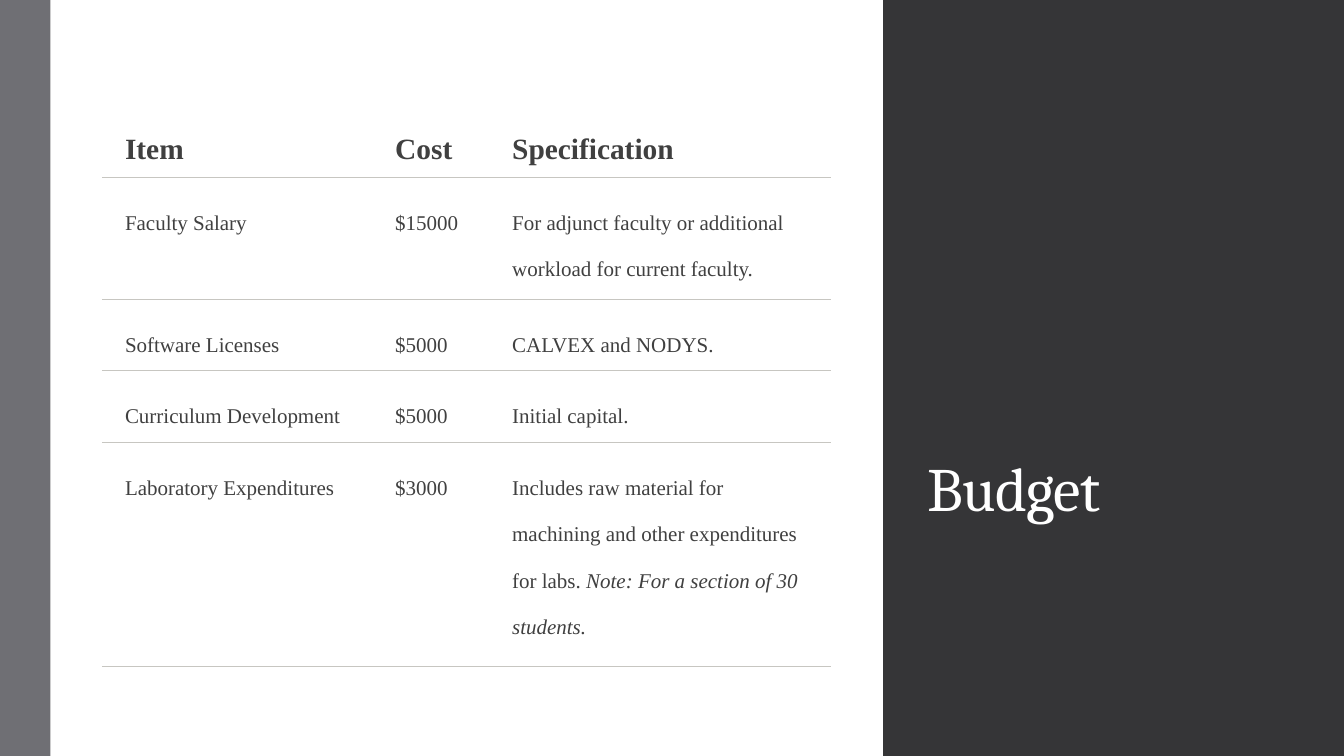
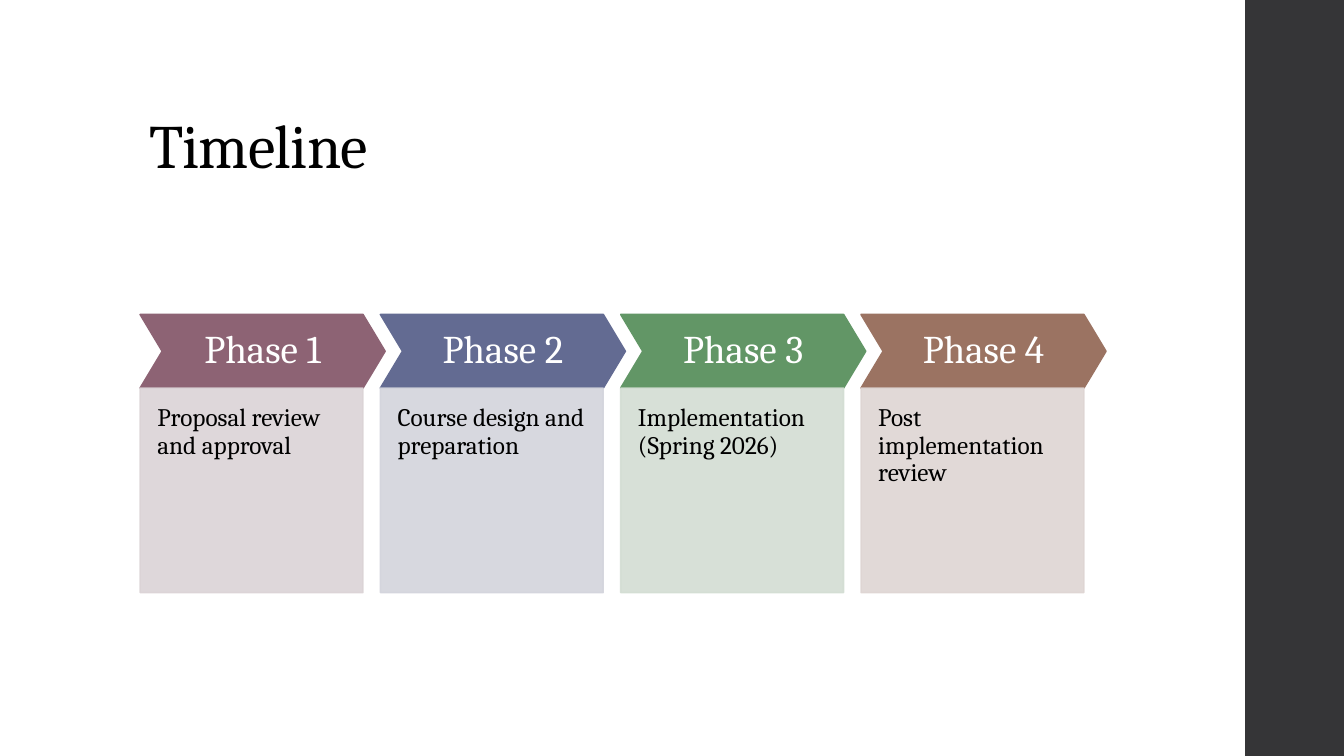
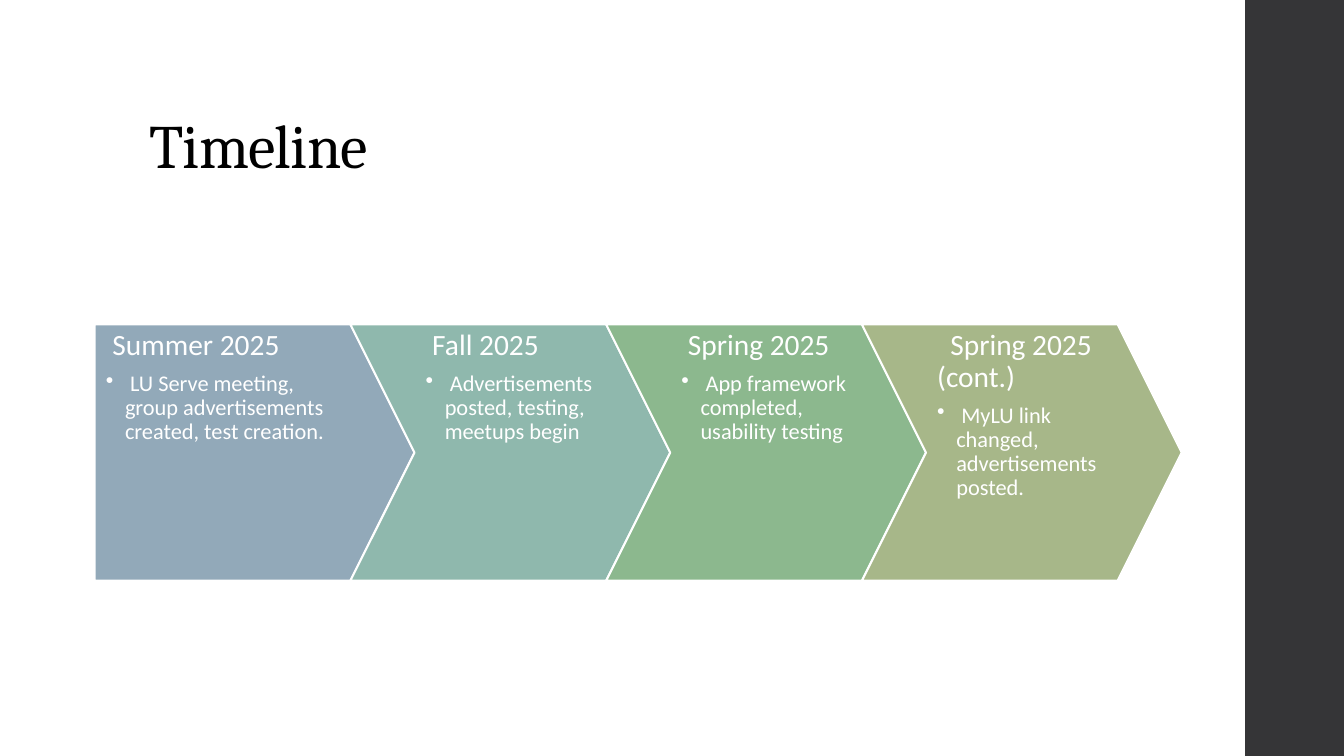
import pptx
import pptx.dml.color
import pptx.enum.shapes
import pptx.enum.text
import pptx.oxml
import pptx.oxml.ns
import pptx.util

PX = 9144
SLIDE_SIZE = (1333, 750)
COLORS = {
    "band": "353537", "strip": "6F6F74", "white": "FFFFFF", "black": "000000",
    "table_text": "404040", "rule": "C7C6C1",
}
SHAPE = pptx.enum.shapes.MSO_SHAPE
ANCHOR = pptx.enum.text.MSO_ANCHOR
ALIGN = pptx.enum.text.PP_ALIGN

RIGHT_BAND = (1235, 0, 98, 750)
SIDE_STRIP = (0, 0, 50, 750)
TITLE_PANEL = (876, 0, 359, 750)
TITLE_FONT = {"name": "Cambria", "size": 44}
TITLE_INSETS = (10, 5, 10, 5)

BUDGET_AT = (101, 88, 724, 573)
BUDGET_COLUMNS = (268, 116, 339)
BUDGET_HEIGHTS = (88, 121, 71, 71, 222)
HEADER_INSETS = (23, 9, 17, 9)
BUDGET_INSETS = (23, 11, 17, 9)
BUDGET = [
    ("Item", "Cost", "Specification"),
    ("Faculty Salary", "$15000",
     "For adjunct faculty or additional workload for current faculty."),
    ("Software Licenses", "$5000", "CALVEX and NODYS."),
    ("Curriculum Development", "$5000", "Initial capital."),
    ("Laboratory Expenditures", "$3000",
     "Includes raw material for machining and other expenditures for labs. "),
]
BUDGET_NOTE = "Note: For a section of 30 students."

PHASES = [
    ("Phase 1", "Proposal review and approval", "8D6374", "DBD3D6"),
    ("Phase 2", "Course design and preparation", "636B92", "D3D4DC"),
    ("Phase 3", "Implementation (Spring 2026)", "629666", "D3DDD3"),
    ("Phase 4", "Post implementation review", "9B7362", "DED5D3"),
]
TERMS = [
    (" Summer 2025", " LU Serve meeting, group advertisements created, test creation.",
     "92A9B9"),
    (" Fall 2025", " Advertisements posted, testing, meetups begin", "8FB8AD"),
    (" Spring 2025", " App framework completed, usability testing", "8CB88E"),
    ("  Spring 2025 (cont.)", " MyLU link changed, advertisements posted.", "A7B789"),
]


def px(length):
    return pptx.util.Emu(round(length * PX))


def rgb(color):
    return pptx.dml.color.RGBColor.from_string(color)


def spread(first, last, count):
    """Equally spaced left edges from first to last."""
    return [first + (last - first) * index / (count - 1) for index in range(count)]


def set_insets(target, insets):
    for side, inset in zip(("left", "top", "right", "bottom"), insets):
        setattr(target, f"margin_{side}", px(inset))


def add_span(para, text, color, font):
    span = para.add_run()
    span.text = text
    span.font.color.rgb = rgb(color)
    for name, value in font.items():
        setattr(span.font, name, pptx.util.Pt(value) if name == "size" else value)
    return span


def format_para(para, formats):
    for name, value in formats.items():
        setattr(para, name, value)


def prepare_frame(shape, anchor, insets):
    frame = shape.text_frame
    frame.word_wrap = True
    frame.vertical_anchor = anchor
    set_insets(frame, insets)
    return frame


def add_block(page, kind, at, fill, line=None, width=1.1, adjustment=None):
    block = page.shapes.add_shape(kind, *map(px, at))
    block.shadow.inherit = False
    block.fill.solid()
    block.fill.fore_color.rgb = rgb(fill)
    if line:
        block.line.color.rgb = rgb(line)
        block.line.width = pptx.util.Pt(width)
    else:
        block.line.fill.background()
    if adjustment:
        block.adjustments[0] = adjustment
    return block


def make_translucent(block, percent):
    for color in block._element.spPr.iter(pptx.oxml.ns.qn("a:srgbClr")):
        alpha = color.makeelement(pptx.oxml.ns.qn("a:alpha"), {"val": str(percent * 1000)})
        color.append(alpha)


def add_bullet(para, indent):
    props = para._p.get_or_add_pPr()
    props.set("marL", str(px(indent)))
    props.set("indent", str(-px(indent)))
    props.append(props.makeelement(pptx.oxml.ns.qn("a:buChar"), {"char": "•"}))


def add_page(deck):
    page = deck.slides.add_slide(deck.slide_layouts[6])
    add_block(page, SHAPE.RECTANGLE, RIGHT_BAND, COLORS["band"])
    return page


def add_title(page, text, at, color, line_spacing=0.9):
    box = page.shapes.add_textbox(*map(px, at))
    frame = prepare_frame(box, ANCHOR.BOTTOM, TITLE_INSETS)
    para = frame.paragraphs[0]
    para.line_spacing = line_spacing
    span = add_span(para, text, color, TITLE_FONT)
    span._r.get_or_add_rPr().set("spc", "-50")


def add_bottom_rule(cell):
    rule = pptx.oxml.parse_xml(
        f'<a:lnB {pptx.oxml.ns.nsdecls("a")} w="9525"><a:solidFill>'
        f'<a:srgbClr val="{COLORS["rule"]}"/></a:solidFill></a:lnB>')
    cell._tc.get_or_add_tcPr().insert(0, rule)


def add_budget_table(page):
    table = page.shapes.add_table(
        len(BUDGET), len(BUDGET_COLUMNS), *map(px, BUDGET_AT)).table
    table.first_row = table.horz_banding = False
    style = table._tbl.tblPr.find(pptx.oxml.ns.qn("a:tableStyleId"))
    style.text = "{2D5ABB26-0587-4C30-8999-92F81FD0307C}"
    for column, width in zip(table.columns, BUDGET_COLUMNS):
        column.width = px(width)
    for row, height in zip(table.rows, BUDGET_HEIGHTS):
        row.height = px(height)
    for row_index, texts in enumerate(BUDGET):
        header = row_index == 0
        font = {"name": "Times New Roman", "size": 21 if header else 15, "bold": header}
        for column_index, text in enumerate(texts):
            cell = table.cell(row_index, column_index)
            cell.fill.background()
            cell.vertical_anchor = ANCHOR.MIDDLE if header else ANCHOR.TOP
            set_insets(cell, HEADER_INSETS if header else BUDGET_INSETS)
            add_bottom_rule(cell)
            para = cell.text_frame.paragraphs[0]
            format_para(para, {"line_spacing": 2.0, "space_after": pptx.util.Pt(8)})
            add_span(para, text, COLORS["table_text"], font)
    add_span(para, BUDGET_NOTE, COLORS["table_text"], {**font, "italic": True})


def build_budget(deck):
    page = add_page(deck)
    add_block(page, SHAPE.RECTANGLE, SIDE_STRIP, COLORS["strip"])
    add_block(page, SHAPE.RECTANGLE, TITLE_PANEL, COLORS["band"])
    add_title(page, "Budget", (910, 83, 306, 442), COLORS["white"], 0.85)
    add_budget_table(page)


def build_phases(deck):
    page = add_page(deck)
    add_title(page, "Timeline", (138, 40, 1060, 145), COLORS["black"])
    for left, (phase, task, strong, pale) in zip(spread(139, 854, len(PHASES)), PHASES):
        arrow = add_block(page, SHAPE.CHEVRON, (left, 312, 243, 73), strong, strong,
                          adjustment=0.3)
        card = add_block(page, SHAPE.RECTANGLE, (left, 385, 221, 203), pale, pale)
        make_translucent(card, 90)
        for block, text, size, color, anchor, align, insets in (
            (arrow, phase, 28, "white", ANCHOR.MIDDLE, ALIGN.CENTER, (9, 9, 9, 9)),
            (card, task, 18, "black", ANCHOR.TOP, ALIGN.LEFT, (17, 17, 17, 35)),
        ):
            para = prepare_frame(block, anchor, insets).paragraphs[0]
            format_para(para, {"alignment": align, "line_spacing": 0.9})
            add_span(para, text, COLORS[color], {"name": "Cambria", "size": size})


def build_terms(deck):
    page = add_page(deck)
    add_title(page, "Timeline", (138, 40, 1078, 145), COLORS["black"])
    for index, (left, (term, task, fill)) in enumerate(
            zip(spread(94, 855, len(TERMS)), TERMS)):
        kind, right_inset = (SHAPE.CHEVRON, 11) if index else (SHAPE.PENTAGON, 45)
        arrow = add_block(page, kind, (left, 322, 317, 254), fill, COLORS["white"],
                          width=1.35, adjustment=0.25)
        frame = prepare_frame(arrow, ANCHOR.TOP, (11, 6, right_inset, 6))
        heading, detail = frame.paragraphs[0], frame.add_paragraph()
        add_bullet(detail, 19)
        for para, text, size, after in ((heading, term, 21, 7), (detail, task, 16, 2)):
            format_para(para, {"alignment": ALIGN.LEFT, "line_spacing": 0.9,
                               "space_after": pptx.util.Pt(after)})
            add_span(para, text, COLORS["white"], {"name": "Calibri", "size": size})


def main():
    deck = pptx.Presentation()
    deck.slide_width, deck.slide_height = map(px, SLIDE_SIZE)
    for build in (build_budget, build_phases, build_terms):
        build(deck)
    deck.save("out.pptx")


if __name__ == "__main__":
    main()
